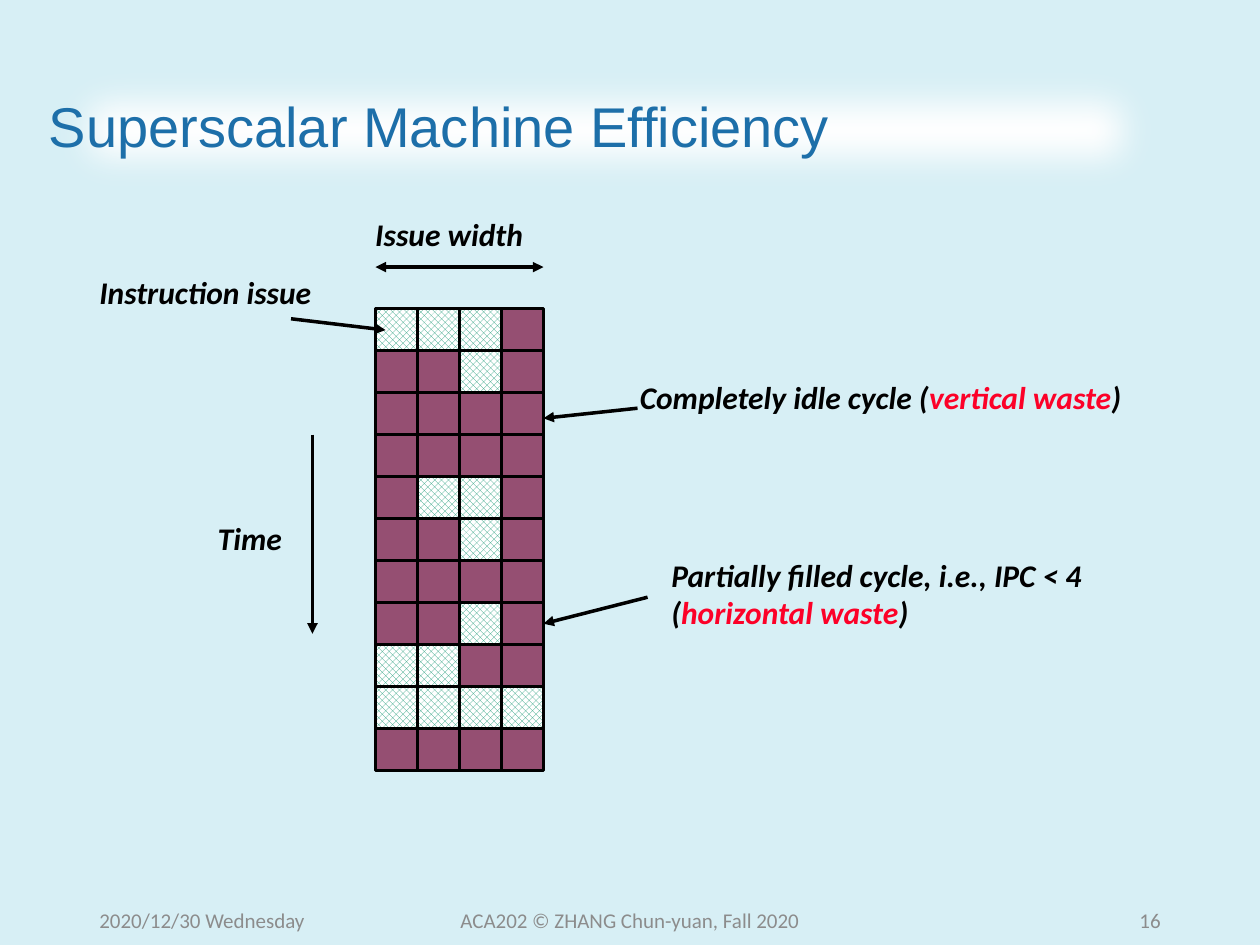
from dataclasses import dataclass

from lxml import etree
from pptx import Presentation
from pptx.dml.color import RGBColor
from pptx.enum.dml import MSO_PATTERN
from pptx.enum.shapes import MSO_CONNECTOR, MSO_SHAPE
from pptx.enum.text import MSO_ANCHOR, PP_ALIGN
from pptx.oxml.ns import qn
from pptx.util import Inches, Pt

RECT, STRAIGHT = MSO_SHAPE.RECTANGLE, MSO_CONNECTOR.STRAIGHT
DIAMOND = MSO_PATTERN.SOLID_DIAMOND
TOP, MIDDLE = MSO_ANCHOR.TOP, MSO_ANCHOR.MIDDLE
LEFT, CENTER, RIGHT = PP_ALIGN.LEFT, PP_ALIGN.CENTER, PP_ALIGN.RIGHT


@dataclass(frozen=True)
class Theme:
    back: RGBColor = RGBColor.from_string("D7EFF5")
    title: RGBColor = RGBColor.from_string("1D6FA9")
    white: RGBColor = RGBColor.from_string("FFFFFF")
    black: RGBColor = RGBColor.from_string("000000")
    red: RGBColor = RGBColor.from_string("FC0128")
    grey: RGBColor = RGBColor.from_string("8C8C8C")
    idle: RGBColor = RGBColor.from_string("954F72")
    issued: RGBColor = RGBColor.from_string("1D9A78")
    title_font: str = "Arial"
    body_font: str = "Calibri"
    title_size: Pt = Pt(32)
    label_size: Pt = Pt(18)
    footer_size: Pt = Pt(12)
    line: Pt = Pt(2)


T = Theme()

prs = Presentation()
prs.slide_width, prs.slide_height = Inches(10), Inches(7.5)
s = prs.slides.add_slide(prs.slide_layouts[6])
s.background.fill.solid()
s.background.fill.fore_color.rgb = T.back


def add_text(box, paragraphs, size, bold=False, align=LEFT, anchor=TOP):
    """Add a text box; each paragraph is a list of (text, colour) runs."""
    tf = s.shapes.add_textbox(*map(Inches, box)).text_frame
    tf.word_wrap = True
    tf.vertical_anchor = anchor
    for i, runs in enumerate(paragraphs):
        p = tf.add_paragraph() if i else tf.paragraphs[0]
        p.alignment = align
        for text, color in runs:
            r = p.add_run()
            r.text = text
            r.font.name, r.font.size = T.body_font, size
            r.font.bold = r.font.italic = bold
            r.font.color.rgb = color


def add_arrow(start, end, heads):
    """Add a line with a triangle at each end named in heads."""
    sp = s.shapes.add_connector(STRAIGHT, *map(Inches, start + end))
    sp.line.color.rgb = T.black
    sp.line.width = T.line
    spPr = sp._element.spPr
    for head in heads:
        etree.SubElement(spPr.find(qn("a:ln")), qn(f"a:{head}"), type="triangle")
    etree.SubElement(spPr, qn("a:effectLst"))
    return sp


# Title on a soft white band
band = s.shapes.add_shape(RECT, Inches(0.29), Inches(0.4), Inches(9.02), Inches(1.26))
band.fill.solid()
band.fill.fore_color.rgb = T.white
band.line.fill.background()
band.shadow.inherit = False
effects = band._element.spPr.find(qn("a:effectLst"))
etree.SubElement(effects, qn("a:softEdge"), rad=str(Inches(0.35)))
tf = band.text_frame
tf.word_wrap = True
tf.vertical_anchor = MIDDLE
p = tf.paragraphs[0]
p.alignment = LEFT
p.line_spacing = 0.9
r = p.add_run()
r.text = "Superscalar Machine Efficiency"
r.font.name, r.font.size = T.title_font, T.title_size
r.font.color.rgb = T.title

# Issue slots: one row per cycle, x = issued, . = idle
CYCLES = ["xxx.", "..x.", "....", "....", ".xx.", "..x.",
          "....", "..x.", "xx..", "xxxx", "...."]
GRID_X, GRID_Y, CELL = 2.98, 2.45, 1 / 3
GRID_RIGHT = GRID_X + 4 * CELL
slots = {}
for row, cycle in enumerate(CYCLES):
    for col, state in enumerate(cycle):
        sp = s.shapes.add_shape(RECT, Inches(GRID_X + col * CELL),
                                Inches(GRID_Y + row * CELL), Inches(CELL), Inches(CELL))
        if state == "x":
            sp.fill.patterned()
            sp.fill.pattern = DIAMOND
            sp.fill.fore_color.rgb = T.issued
            sp.fill.back_color.rgb = T.white
        else:
            sp.fill.solid()
            sp.fill.fore_color.rgb = T.idle
        sp.line.color.rgb = T.black
        sp.line.width = T.line
        sp.shadow.inherit = False
        slots[row, col] = sp

# Dimension arrows and pointers
add_arrow((GRID_X, 2.12), (GRID_RIGHT, 2.12), ["headEnd", "tailEnd"])
add_arrow((2.48, 3.45), (2.48, 5.03), ["tailEnd"])
add_arrow((GRID_RIGHT, 3.32), (5.06, 3.24), ["headEnd"])
add_arrow((3.06, 2.62), (2.31, 2.53), ["headEnd"])
partial = add_arrow((GRID_RIGHT, 4.95), (5.14, 4.74), ["headEnd"])
partial.begin_connect(slots[7, 3], 3)

# Labels
LABELS = [
    ((2.88, 1.66, 1.86, 0.51), [[("Issue width", T.black)]]),
    ((1.63, 4.07, 0.97, 0.51), [[("Time", T.black)]]),
    ((4.98, 2.95, 4.16, 0.4), [[("Completely idle cycle (", T.black),
                                ("vertical waste", T.red), (")", T.black)]]),
    ((0.69, 2.12, 2.15, 0.4), [[("Instruction issue", T.black)]]),
    ((5.23, 4.36, 3.56, 0.71), [[("Partially filled cycle, i.e., IPC < 4", T.black)],
                                [("(", T.black), ("horizontal waste", T.red),
                                 (")", T.black)]]),
]
for box, paragraphs in LABELS:
    add_text(box, paragraphs, T.label_size, bold=True)

# Footer
FOOTER = [
    (0.69, 2.25, "2020/12/30 Wednesday", LEFT),
    (3.31, 3.38, "ACA202 © ZHANG Chun-yuan, Fall 2020", CENTER),
    (7.06, 2.25, "16", RIGHT),
]
for x, width, text, align in FOOTER:
    add_text((x, 7.1, width, 0.4), [[(text, T.grey)]], T.footer_size,
             align=align, anchor=MIDDLE)

prs.save("out.pptx")
